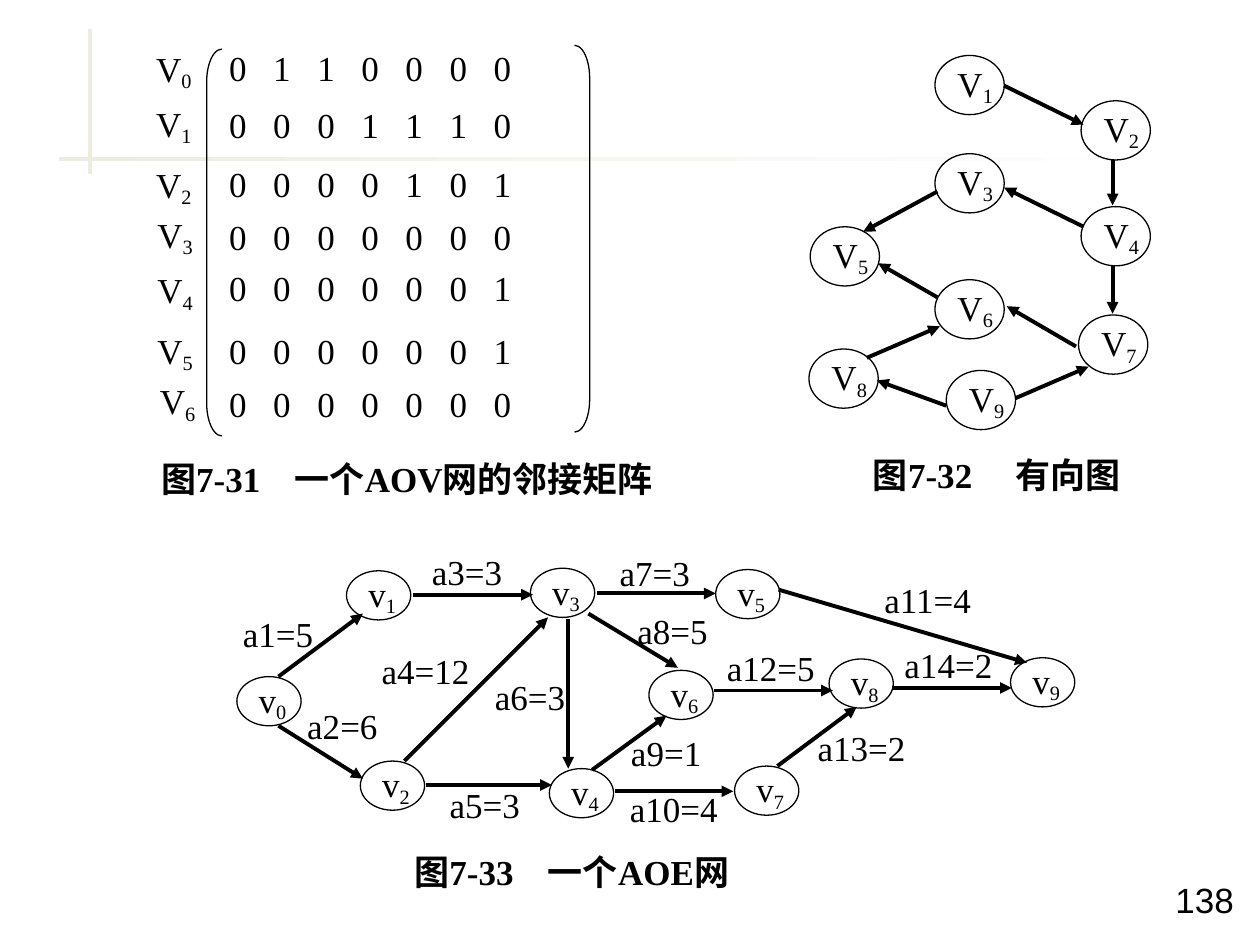
from lxml import etree
from pptx import Presentation
from pptx.dml.color import RGBColor
from pptx.enum.shapes import MSO_CONNECTOR, MSO_SHAPE
from pptx.enum.text import MSO_ANCHOR, PP_ALIGN
from pptx.oxml.ns import qn
from pptx.util import Inches, Pt

BLACK = RGBColor(0x00, 0x00, 0x00)
WHITE = RGBColor(0xFF, 0xFF, 0xFF)
CREAM = RGBColor(0xEE, 0xEC, 0xE1)
SERIF, SANS = "Times New Roman", "Arial"
LEFT, MIDDLE, TOP = PP_ALIGN.LEFT, MSO_ANCHOR.MIDDLE, MSO_ANCHOR.TOP
STRAIGHT = MSO_CONNECTOR.STRAIGHT
OVAL, RECTANGLE = MSO_SHAPE.OVAL, MSO_SHAPE.RECTANGLE
BRACKETS = (MSO_SHAPE.LEFT_BRACKET, MSO_SHAPE.RIGHT_BRACKET)

# Matrix rows: label left, label top, entries top, entries
MATRIX_ROWS = [
    (0.04, 0.06, 0.06, "0110000"),
    (0.04, 0.50, 0.51, "0001110"),
    (0.04, 0.98, 0.98, "0000101"),
    (0.05, 1.38, 1.40, "0000000"),
    (0.05, 1.82, 1.81, "0000001"),
    (0.05, 2.30, 2.31, "0000001"),
    (0.07, 2.70, 2.73, "0000000"),
]
COLUMN_PITCH = 0.35

DIGRAPH_NODES = [  # V1 to V9
    (1.02, 0.04), (2.18, 0.40), (1.02, 0.82), (2.18, 1.24), (0.03, 1.40),
    (1.02, 1.82), (2.16, 2.10), (0.02, 2.37), (1.11, 2.54),
]
DIGRAPH_EDGES = [
    ((1.57, 0.28), (2.20, 0.59)),
    ((2.20, 1.40), (1.57, 1.09)),
    ((2.43, 0.87), (2.43, 1.23)),
    ((1.04, 1.12), (0.45, 1.44)),
    ((1.04, 1.96), (0.57, 1.69)),
    ((2.43, 1.70), (2.43, 2.09)),
    ((2.14, 2.35), (1.59, 2.03)),
    ((0.48, 2.44), (1.06, 2.19)),
    ((1.11, 2.82), (0.56, 2.62)),
    ((1.66, 2.76), (2.24, 2.51)),
]

AOE_NODES = [  # v0 to v9
    (0.08, 1.07), (0.95, 0.23), (1.06, 1.74), (2.41, 0.21), (2.56, 1.80),
    (3.88, 0.22), (3.35, 1.02), (4.03, 1.78), (4.78, 0.93), (6.22, 0.92),
]
AOE_ACTIVITIES = [  # label, label position, start, end
    ("a1=5", (0.03, 0.57), (0.41, 1.07), (1.08, 0.57)),
    ("a2=6", (0.54, 1.30), (0.41, 1.46), (1.08, 1.88)),
    ("a3=3", (1.53, 0.08), (1.48, 0.42), (2.43, 0.42)),
    ("a4=12", (1.13, 0.87), (1.41, 1.74), (2.55, 0.60)),
    ("a5=3", (1.67, 1.93), (1.58, 1.93), (2.58, 1.93)),
    ("a6=3", (2.03, 1.07), (2.71, 0.61), (2.71, 1.80)),
    ("a7=3", (3.02, 0.09), (2.94, 0.41), (3.88, 0.41)),
    ("a8=5", (3.16, 0.55), (2.87, 0.57), (3.58, 1.00)),
    ("a9=1", (3.11, 1.52), (2.90, 1.81), (3.49, 1.38)),
    ("a10=4", (3.10, 1.96), (3.08, 1.98), (4.02, 1.98)),
    ("a11=4", (5.12, 0.30), (4.38, 0.38), (6.35, 0.96)),
    ("a12=5", (3.87, 0.84), (3.87, 1.18), (4.81, 1.18)),
    ("a13=2", (4.59, 1.48), (4.37, 1.78), (5.00, 1.31)),
    ("a14=2", (5.28, 0.82), (5.28, 1.16), (6.23, 1.16)),
]


def write(frame, text, subscript="", tabs=(), bold=False, font=SERIF, anchor=MIDDLE):
    """Fill a text frame with one line; tabbed lines wrap in their box."""
    frame.word_wrap = bool(tabs)
    frame.margin_right = 0
    frame.vertical_anchor = anchor
    paragraph = frame.paragraphs[0]
    paragraph.alignment = LEFT
    paragraph.line_spacing = 0.9
    if tabs:
        tab_list = etree.SubElement(paragraph._p.get_or_add_pPr(), qn("a:tabLst"))
        for position in tabs:
            etree.SubElement(tab_list, qn("a:tab"), pos=str(Inches(position)), algn="l")
    for part in filter(None, (text, subscript)):
        run = paragraph.add_run()
        run.text = part
        run.font.name, run.font.size, run.font.bold = font, Pt(20), bold
        run.font.color.rgb = BLACK
        if part is subscript:
            run._r.get_or_add_rPr().set("baseline", "-18000")


def add_text(slide, left, top, width, height, text, **style):
    box = slide.shapes.add_textbox(*map(Inches, (left, top, width, height)))
    write(box.text_frame, text, **style)


def add_outline(slide, preset, left, top, width, height):
    shape = slide.shapes.add_shape(preset, *map(Inches, (left, top, width, height)))
    shape.shadow.inherit = False
    shape.fill.background()
    shape.line.color.rgb = BLACK
    shape.line.width = Pt(0.75)
    return shape


def add_arrow(slide, left, top, start, end):
    points = (left + start[0], top + start[1], left + end[0], top + end[1])
    arrow = slide.shapes.add_connector(STRAIGHT, *map(Inches, points))
    arrow.line.color.rgb = BLACK
    arrow.line.width = Pt(2.25)
    etree.SubElement(arrow.line._get_or_add_ln(), qn("a:tailEnd"), type="triangle")
    etree.SubElement(arrow._element.spPr, qn("a:effectLst"))


def add_nodes(slide, left, top, letter, first, positions, width, height):
    for number, (x, y) in enumerate(positions, first):
        node = add_outline(slide, OVAL, left + x, top + y, width, height)
        write(node.text_frame, letter, subscript=str(number))


def add_caption(slide, left, top, width, text, gap):
    add_text(slide, left, top, width, 0.39, text, tabs=[gap], bold=True)


def add_backdrop(slide):
    bars = []
    for bounds in ((0.7, 0.23, 0.03, 1.15), (0.47, 1.25, 9, 0.03)):
        bar = slide.shapes.add_shape(RECTANGLE, *map(Inches, bounds))
        bar.shadow.inherit = False
        bar.line.fill.background()
        bars.append(bar)
    upright, level = bars
    upright.fill.solid()
    upright.fill.fore_color.rgb = CREAM
    level.fill.gradient()
    level.fill.gradient_angle = 0
    for stop, color in zip(level.fill.gradient_stops, (CREAM, WHITE)):
        stop.color.rgb = color
    add_text(slide, 9.23, 6.96, 0.78, 0.4, "138", font=SANS, anchor=TOP)


def add_matrix(slide, left, top):
    for number, (label_x, label_y, entries_y, entries) in enumerate(MATRIX_ROWS):
        add_text(slide, left + label_x, top + label_y, 0.47, 0.39, "V", subscript=str(number))
        stops = [COLUMN_PITCH * column for column in range(1, len(entries))]
        add_text(slide, left + 0.62, top + entries_y, 2.83, 0.39, "\t".join(entries), tabs=stops)
    for preset, x, y in zip(BRACKETS, (0.54, 3.46), (0.09, 0.06)):
        bracket = add_outline(slide, preset, left + x, top + y, 0.12, 3.07)
        bracket.adjustments[0] = 2.17
    add_caption(slide, left + 0.08, top + 3.32, 4.25, "图7-31\t一个AOV网的邻接矩阵", 1.06)


def add_digraph(slide, left, top):
    add_nodes(slide, left, top, "V", 1, DIGRAPH_NODES, 0.55, 0.47)
    for start, end in DIGRAPH_EDGES:
        add_arrow(slide, left, top, start, end)
    add_caption(slide, left + 0.43, top + 3.19, 2.25, "图7-32\t有向图", 1.13)


def add_aoe_network(slide, left, top):
    add_nodes(slide, left, top, "v", 0, AOE_NODES, 0.51, 0.39)
    for label, (x, y), start, end in AOE_ACTIVITIES:
        width = 0.85 if len(label) > 4 else 0.7
        add_text(slide, left + x, top + y, width, 0.35, label)
        add_arrow(slide, left, top, start, end)
    add_caption(slide, left + 1.39, top + 2.44, 2.85, "图7-33\t一个AOE网", 1.06)


def main():
    deck = Presentation()
    deck.slide_width, deck.slide_height = Inches(10), Inches(7.5)
    slide = deck.slides.add_slide(deck.slide_layouts[6])
    add_backdrop(slide)
    add_aoe_network(slide, 1.8, 4.3)
    add_matrix(slide, 1.1, 0.3)
    add_digraph(slide, 6.4, 0.4)
    deck.save("out.pptx")


if __name__ == "__main__":
    main()
